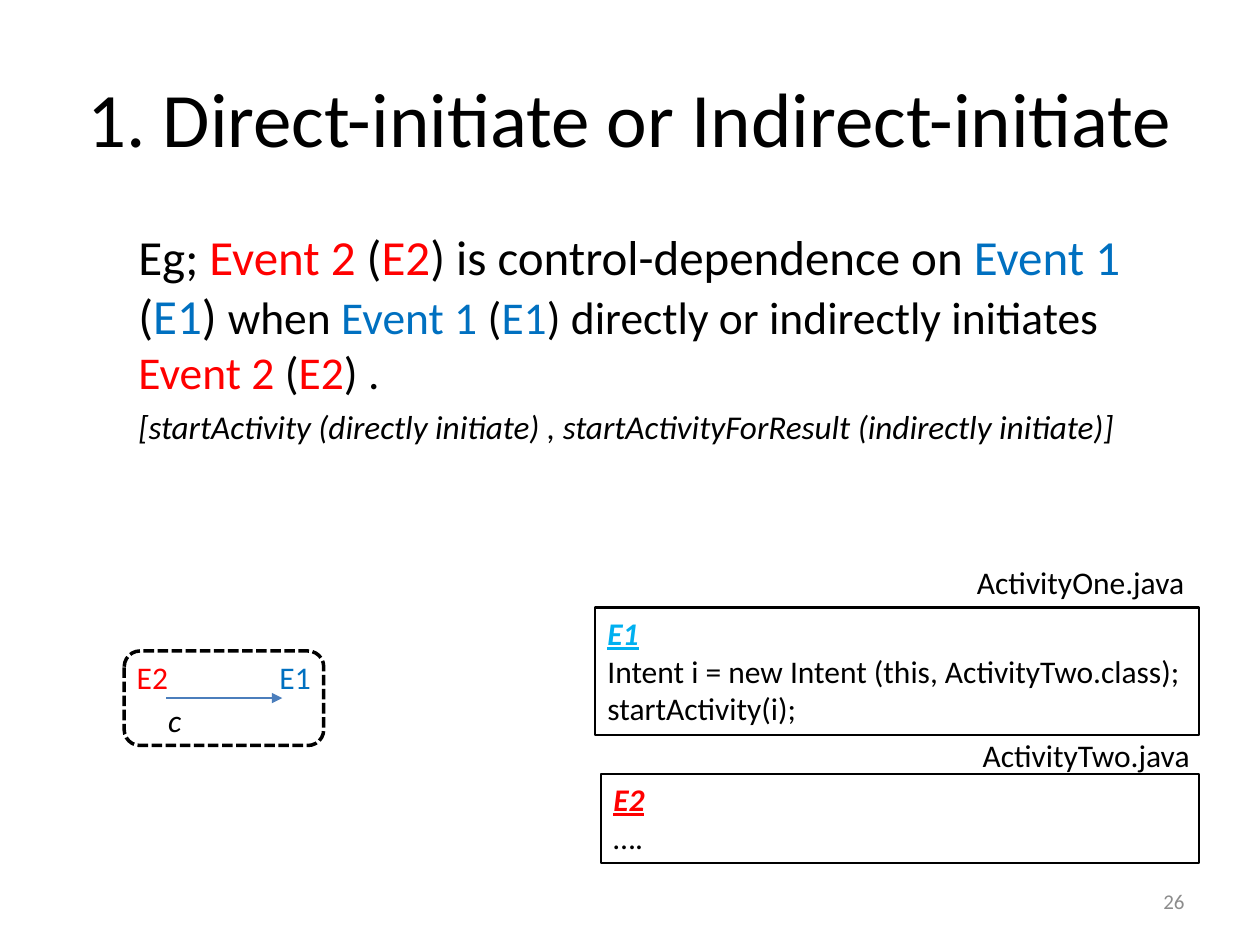
from lxml import etree
from pptx import Presentation
from pptx.dml.color import RGBColor
from pptx.enum.dml import MSO_LINE
from pptx.enum.shapes import MSO_CONNECTOR, MSO_SHAPE
from pptx.enum.text import MSO_ANCHOR, PP_ALIGN
from pptx.oxml.ns import qn
from pptx.util import Pt

RECT, ROUND = MSO_SHAPE.RECTANGLE, MSO_SHAPE.ROUNDED_RECTANGLE
LINE, DASH = MSO_CONNECTOR.STRAIGHT, MSO_LINE.SQUARE_DOT
LEFT, MID, RIGHT = PP_ALIGN.LEFT, PP_ALIGN.CENTER, PP_ALIGN.RIGHT
TOP, CENTER = MSO_ANCHOR.TOP, MSO_ANCHOR.MIDDLE
BLACK, RED, BLUE, CYAN, GRAY, STEEL = (
    "000000", "FF0000", "0070C0", "00B0F0", "8C8C8C", "4B7EBC")
HEAD = {"bold": True, "italic": True, "underline": True}


def paint(code):
    return RGBColor.from_string(code)


def apply(item, values):
    for name, value in values.items():
        setattr(item, name, value)


class Sheet:
    font = "Calibri"

    def __init__(self, slide):
        self.slide = slide

    def fill_text(self, shape, paras, align=LEFT, anchor=TOP, wrap=True,
                  indent=0, gap=0):
        frame = shape.text_frame
        apply(frame, {"word_wrap": wrap, "vertical_anchor": anchor})
        for num, runs in enumerate(paras):
            para = frame.paragraphs[0] if num == 0 else frame.add_paragraph()
            para.alignment = align
            if num:
                para.space_before = Pt(gap)
            if indent:
                props = para._p.get_or_add_pPr()
                props.set("marL", str(Pt(indent)))
                props.set("indent", "0")
            for text, size, color, style in runs:
                run = para.add_run()
                run.text = text
                apply(run.font, {"name": self.font, "size": Pt(size), **style})
                run.font.color.rgb = paint(color)

    def text(self, box, paras, **layout):
        shape = self.slide.shapes.add_textbox(*map(Pt, box))
        self.fill_text(shape, paras, **layout)

    def label(self, left, top, width, text, color=BLACK, **style):
        self.text((left, top, width, 29), [[(text, 18, color, style)]],
                  wrap=False)

    def frame(self, kind, box, weight, paras=(), dash=None):
        shape = self.slide.shapes.add_shape(kind, *map(Pt, box))
        shape.shadow.inherit = False
        shape.fill.background()
        shape.line.color.rgb = paint(BLACK)
        apply(shape.line, {"width": Pt(weight), "dash_style": dash})
        self.fill_text(shape, paras)

    def code(self, box, head, color, lines):
        paras = [[(head, 18, color, HEAD)]]
        paras += [[(line, 18, BLACK, {})] for line in lines]
        self.frame(RECT, box, 1.25, paras)

    def arrow(self, start, end, color, weight):
        link = self.slide.shapes.add_connector(LINE, *map(Pt, start + end))
        link.line.color.rgb = paint(color)
        link.line.width = Pt(weight)
        tip = etree.SubElement(link.line._get_or_add_ln(), qn("a:tailEnd"))
        tip.set("type", "triangle")
        etree.SubElement(link._element.spPr, qn("a:effectLst"))


def event(num, size):
    color = {1: BLUE, 2: RED}[num]
    return [(f"Event {num}", size, color, {}), (" (", size, BLACK, {}),
            (f"E{num}", size, color, {})]


def main():
    deck = Presentation()
    apply(deck, {"slide_width": Pt(720), "slide_height": Pt(540)})
    sheet = Sheet(deck.slides.add_slide(deck.slide_layouts[6]))

    title = "1. Direct-initiate or Indirect-initiate"
    sheet.text((36, 21.6, 648, 90), [[(title, 44, BLACK, {})]],
               align=MID, anchor=CENTER)

    claim = [("Eg; ", 28, BLACK, {}), *event(2, 28),
             (") is control-dependence on ", 28, BLACK, {}), *event(1, 28),
             (") ", 28, BLACK, {}), ("when ", 26, BLACK, {}), *event(1, 26),
             (") directly or indirectly initiates ", 26, BLACK, {}),
             *event(2, 26), (") .", 26, BLACK, {})]
    calls = ("[startActivity (directly initiate) , "
             "startActivityForResult (indirectly initiate)]")
    sheet.text((36, 126, 648, 144.7),
               [claim, [(calls, 19, BLACK, {"italic": True})]],
               indent=36, gap=4)

    sheet.text((516, 500.5, 168, 28.75), [[("26", 12, GRAY, {})]],
               align=RIGHT, anchor=CENTER)

    sheet.code((340, 347.2, 345.3, 72.7), "E1", CYAN,
               ["Intent i = new Intent (this, ActivityTwo.class);",
                "startActivity(i);"])
    sheet.frame(ROUND, (71, 372, 114, 54), 2, dash=DASH)
    sheet.label(71, 372.4, 32.4, "E2", RED)
    sheet.arrow((95, 398.9), (161.3, 398.9), STEEL, 0.75)
    sheet.label(152.6, 372.2, 32.4, "E1", BLUE)
    sheet.label(89, 396.9, 22.3, "c", italic=True)
    sheet.label(551.2, 318.2, 134, "ActivityOne.java")
    sheet.code((343.4, 442.2, 342, 51), "E2", RED, ["…."])
    sheet.label(554.4, 416.9, 134, "ActivityTwo.java")

    deck.save("out.pptx")


if __name__ == "__main__":
    main()
